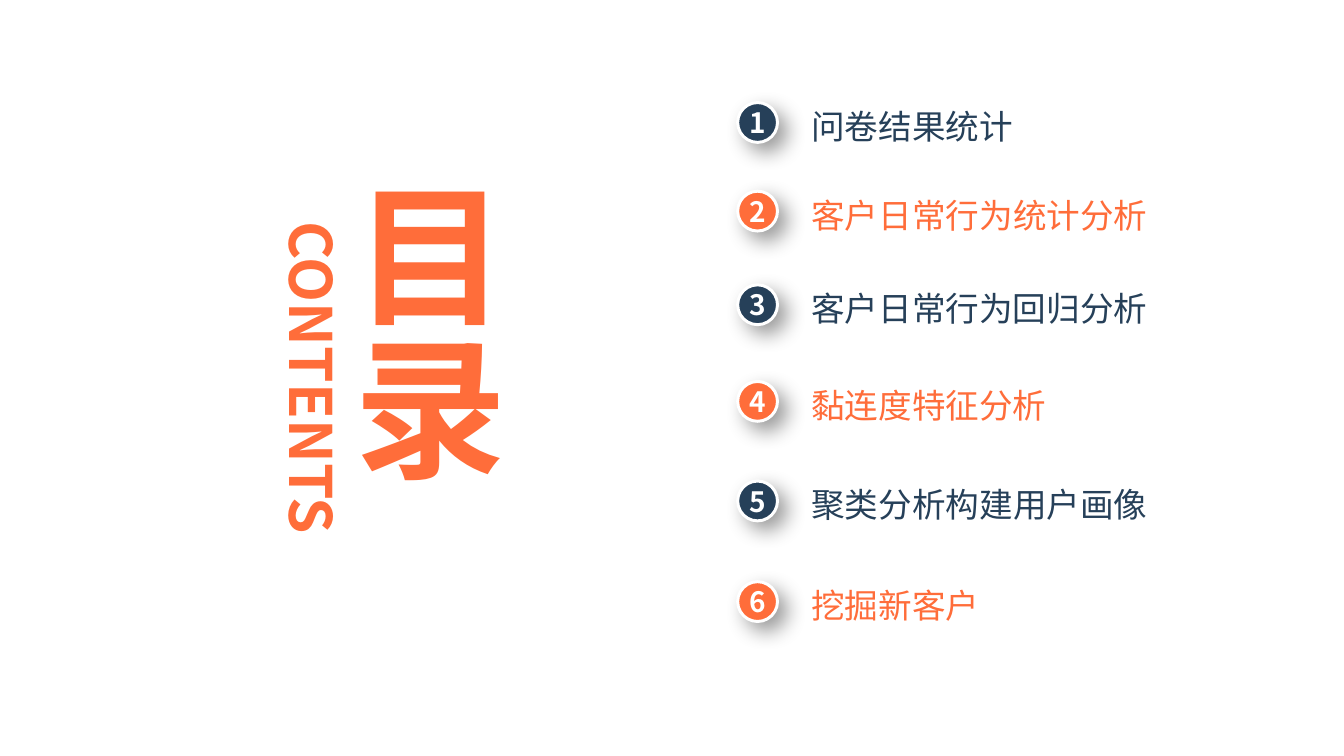
from dataclasses import dataclass

from lxml.etree import SubElement
from pptx import Presentation
from pptx.dml.color import RGBColor as Rgb
from pptx.enum.shapes import MSO_SHAPE as Preset
from pptx.enum.text import MSO_ANCHOR as Anchor, MSO_AUTO_SIZE as AutoSize, PP_ALIGN as Align
from pptx.oxml.ns import qn
from pptx.util import Pt

TITLE = "目录"
SUBTITLE = "CONTENTS"
CHAPTERS = [
    ("问卷结果统计", 103, 314),
    ("客户日常行为统计分析", 192, 351),
    ("客户日常行为回归分析", 286, 345),
    ("黏连度特征分析", 383, 314),
    ("聚类分析构建用户画像", 483, 374),
    ("挖掘新客户", 584, 314),
]

PX = 9525
SLIDE_SIZE = (1350, 759)
TITLE_BOX = (334, 180, 186, 398)
SUBTITLE_BOX = (140, 344, 347, 71)
BADGE_LEFT, BADGE_SIZE = 741, 40
LABEL_LEFT, LABEL_HEIGHT, LABEL_DROP = 815, 41, 3


@dataclass(frozen=True)
class Theme:
    font: str = "Noto Sans CJK SC"
    navy: str = "264059"
    orange: str = "FF6D3A"
    white: str = "FFFFFF"
    shadow: str = "000000"
    title: float = 115
    subtitle: float = 44
    label: float = 25.3
    number: float = 21.1
    outline: float = 2.25


THEME = Theme()


def px(*lengths):
    return [length * PX for length in lengths]


def write(shape, text, size, color, bold=False, align=Align.CENTER, anchor=Anchor.MIDDLE):
    frame = shape.text_frame
    frame.margin_left = frame.margin_top = frame.margin_right = frame.margin_bottom = 0
    frame.word_wrap = True
    frame.auto_size = AutoSize.NONE
    frame.vertical_anchor = anchor
    paragraph = frame.paragraphs[0]
    paragraph.alignment = align
    run = paragraph.add_run()
    run.text = text
    font = run.font
    font.name, font.size, font.bold = THEME.font, Pt(size), bold
    font.color.rgb = Rgb.from_string(color)
    SubElement(run._r.get_or_add_rPr(), qn("a:ea"), typeface=THEME.font)


def cast_shadow(shape):
    shape.shadow.inherit = False
    effects = shape._element.spPr.find(qn("a:effectLst"))
    shadow = SubElement(effects, qn("a:outerShdw"), blurRad=str(Pt(16)), dist=str(Pt(9)),
                        dir=str(45 * 60000), algn="tl", rotWithShape="0")
    tint = SubElement(shadow, qn("a:srgbClr"), val=THEME.shadow)
    SubElement(tint, qn("a:alpha"), val="40000")


def add_badge(chapter, number, top, color):
    badge = chapter.shapes.add_shape(Preset.OVAL, *px(BADGE_LEFT, top, BADGE_SIZE, BADGE_SIZE))
    badge.fill.solid()
    badge.fill.fore_color.rgb = Rgb.from_string(color)
    badge.line.color.rgb = Rgb.from_string(THEME.white)
    badge.line.width = Pt(THEME.outline)
    cast_shadow(badge)
    write(badge, str(number), THEME.number, THEME.white, bold=True)


def add_label(chapter, name, top, width, color):
    right, bottom = LABEL_LEFT + width, top + LABEL_HEIGHT
    outline = chapter.shapes.build_freeform(LABEL_LEFT, top, scale=PX)
    outline.add_line_segments([(right, top), (right, bottom), (LABEL_LEFT, bottom)], close=True)
    label = outline.convert_to_shape()
    label.fill.background()
    label.line.fill.background()
    label.shadow.inherit = False
    write(label, name, THEME.label, color, align=Align.LEFT)


def main():
    deck = Presentation()
    deck.slide_width, deck.slide_height = px(*SLIDE_SIZE)
    slide = deck.slides.add_slide(deck.slide_layouts[5])

    title = slide.shapes.title
    title.left, title.top, title.width, title.height = px(*TITLE_BOX)
    write(title, TITLE, THEME.title, THEME.orange, bold=True)
    title.text_frame._txBody.bodyPr.set("vert", "eaVert")

    subtitle = slide.shapes.add_textbox(*px(*SUBTITLE_BOX))
    subtitle.rotation = 90
    write(subtitle, SUBTITLE, THEME.subtitle, THEME.orange, bold=True, anchor=Anchor.TOP)

    for number, (name, top, width) in enumerate(CHAPTERS, 1):
        color = THEME.navy if number % 2 else THEME.orange
        chapter = slide.shapes.add_group_shape()
        add_badge(chapter, number, top, color)
        add_label(chapter, name, top + LABEL_DROP, width, color)

    deck.save("out.pptx")


if __name__ == "__main__":
    main()
